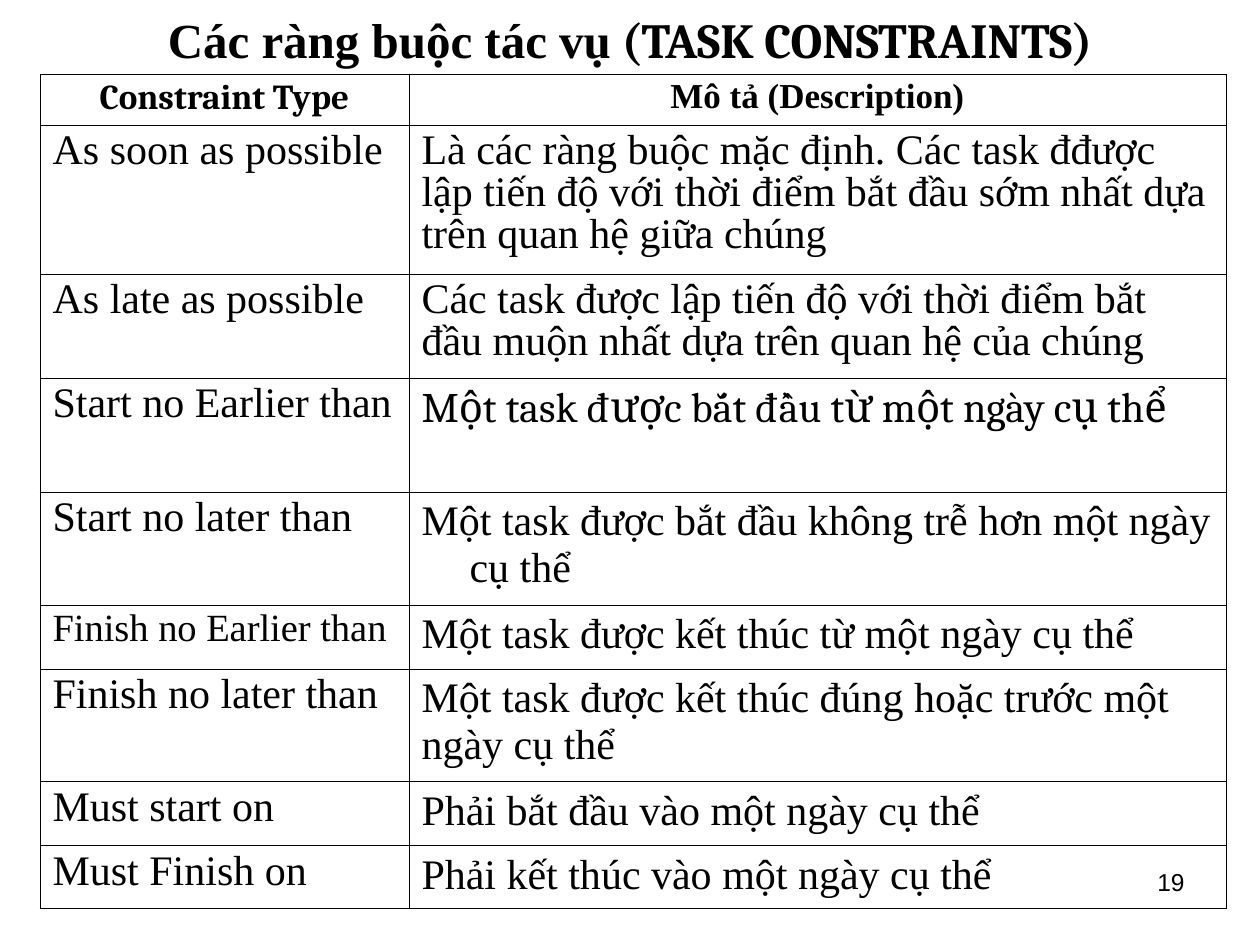
"""Build the slide on task constraints."""
import lxml.etree
import pptx
import pptx.dml.color
import pptx.enum.text
import pptx.oxml
import pptx.oxml.ns
import pptx.util

PX = 914400 / 126
COLORS = {"ink": "000000", "paper": "FFFFFF"}
SERIF, CAMBRIA, SANS = "Times New Roman", "Cambria", "Arial"
ALIGN = pptx.enum.text.PP_ALIGN
HEADER = {"size": 20, "bold": True, "align": ALIGN.CENTER, "hang": 48, "spacing": 0.9}
LABEL = {"hang": 48, "spacing": 0.9}
TIGHT = {"spacing": 0.9}
HANGING = {"hang": 48}
COLUMNS = [369, 817]
ROWS = [
    (51, ("Constraint Type", HEADER | {"name": CAMBRIA}), ("Mô tả (Description)", HEADER)),
    (149, ("As soon as possible", LABEL),
     ("Là các ràng buộc mặc định. Các task đđược lập tiến độ với thời điểm "
      "bắt đầu sớm nhất dựa trên quan hệ giữa chúng", TIGHT)),
    (104, ("As late as possible", LABEL),
     ("Các task được lập tiến độ với thời điểm bắt đầu muộn nhất dựa trên quan hệ của chúng", TIGHT)),
    (114, ("Start no Earlier than", LABEL),
     ("Một task được bắt đầu từ một ngày cụ thể", HANGING | {"name": CAMBRIA})),
    (113, ("Start no later than", LABEL),
     ("Một task được bắt đầu không trễ hơn một ngày cụ thể", HANGING)),
    (64, ("Finish no Earlier than", LABEL | {"size": 22}),
     ("Một task được kết thúc từ một ngày cụ thể", HANGING)),
    (113, ("Finish no later than", LABEL),
     ("Một task được kết thúc đúng hoặc trước một ngày cụ thể", {})),
    (64, ("Must start on", LABEL), ("Phải bắt đầu vào một ngày cụ thể", {})),
    (63, ("Must Finish on", LABEL), ("Phải kết thúc vào một ngày cụ thể", {})),
]


def emu(pixels):
    """Turn whole pixels into EMU."""
    return pptx.util.Emu(round(pixels * PX))


class SlideBuilder:
    """Hold the style and the current slide."""

    base = {"name": SERIF, "size": 24, "bold": False}

    def __init__(self, page):
        """Keep the page and paint its background."""
        self.page = page
        page.background.fill.solid()
        page.background.fill.fore_color.rgb = self.color("paper")

    def color(self, key):
        """Look up a colour by name."""
        return pptx.dml.color.RGBColor.from_string(COLORS[key])

    def span(self, para, text, style):
        """Add a formatted run."""
        span = para.add_run()
        span.text = text
        values = self.base | style
        values["size"] = pptx.util.Pt(values["size"])
        for key, value in values.items():
            setattr(span.font, key, value)
        span.font.color.rgb = self.color("ink")

    def para(self, frame, spans, align=ALIGN.LEFT, hang=0, spacing=1.0):
        """Fill the first paragraph of a text frame."""
        para = frame.paragraphs[0]
        for key, value in {"alignment": align, "line_spacing": spacing}.items():
            setattr(para, key, value)
        properties = para._p.get_or_add_pPr()
        for key, value in {"marL": emu(hang), "indent": -emu(hang)}.items():
            properties.set(key, str(value))
        for text, style in spans:
            self.span(para, text, style)

    def title(self, spans, left, top, width, height):
        """Place the title placeholder."""
        box = self.page.shapes.title
        place = {"left": left, "top": top, "width": width, "height": height}
        for key, value in place.items():
            setattr(box, key, emu(value))
        box.text_frame.auto_size = pptx.enum.text.MSO_AUTO_SIZE.NONE
        box.text_frame.vertical_anchor = pptx.enum.text.MSO_ANCHOR.MIDDLE
        self.para(box.text_frame, spans, ALIGN.CENTER)

    def text(self, text, style, align, *place):
        """Add a wrapped text box."""
        box = self.page.shapes.add_textbox(*map(emu, place))
        box.text_frame.word_wrap = True
        self.para(box.text_frame, [(text, style)], align)

    def borders(self, cell):
        """Draw a thin line on each side of a cell."""
        properties = cell._tc.get_or_add_tcPr()
        for index, side in enumerate(("lnL", "lnR", "lnT", "lnB")):
            line = pptx.oxml.parse_xml(
                f'<a:{side} {pptx.oxml.ns.nsdecls("a")} w="5715"><a:solidFill>'
                f'<a:srgbClr val="{COLORS["ink"]}"/></a:solidFill></a:{side}>')
            properties.insert(index, line)

    def cell(self, cell, text, style):
        """Format and fill one table cell."""
        layout = {key: style[key] for key in ("align", "hang", "spacing") if key in style}
        font = {key: value for key, value in style.items() if key not in layout}
        cell.fill.background()
        self.borders(cell)
        self.para(cell.text_frame, [(text, font)], **layout)

    def table(self, rows, columns, left, top):
        """Add a bordered table."""
        size = sum(columns), sum(row[0] for row in rows)
        frame = self.page.shapes.add_table(
            len(rows), len(columns), *map(emu, (left, top, *size)))
        table = frame.table
        table.first_row = table.horz_banding = False
        for column, width in zip(table.columns, columns):
            column.width = emu(width)
        for row, (height, *entries) in zip(table.rows, rows):
            row.height = emu(height)
            for cell, (text, style) in zip(row.cells, entries):
                self.cell(cell, text, style)


def main():
    """Build and save the deck."""
    deck = pptx.Presentation()
    deck.slide_width, deck.slide_height = emu(1260), emu(945)
    builder = SlideBuilder(deck.slides.add_slide(deck.slide_layouts[5]))
    heading = {"size": 28, "bold": True}
    builder.title([("Các ràng buộc tác vụ", heading),
                   (" (TASK CONSTRAINTS)", heading | {"name": CAMBRIA})], 63, 0, 1134, 78)
    builder.table(ROWS, COLUMNS, 40, 74)
    builder.text("19", {"name": SANS, "size": 14}, ALIGN.RIGHT, 903, 861, 294, 66)
    deck.save("out.pptx")


if __name__ == "__main__":
    main()
